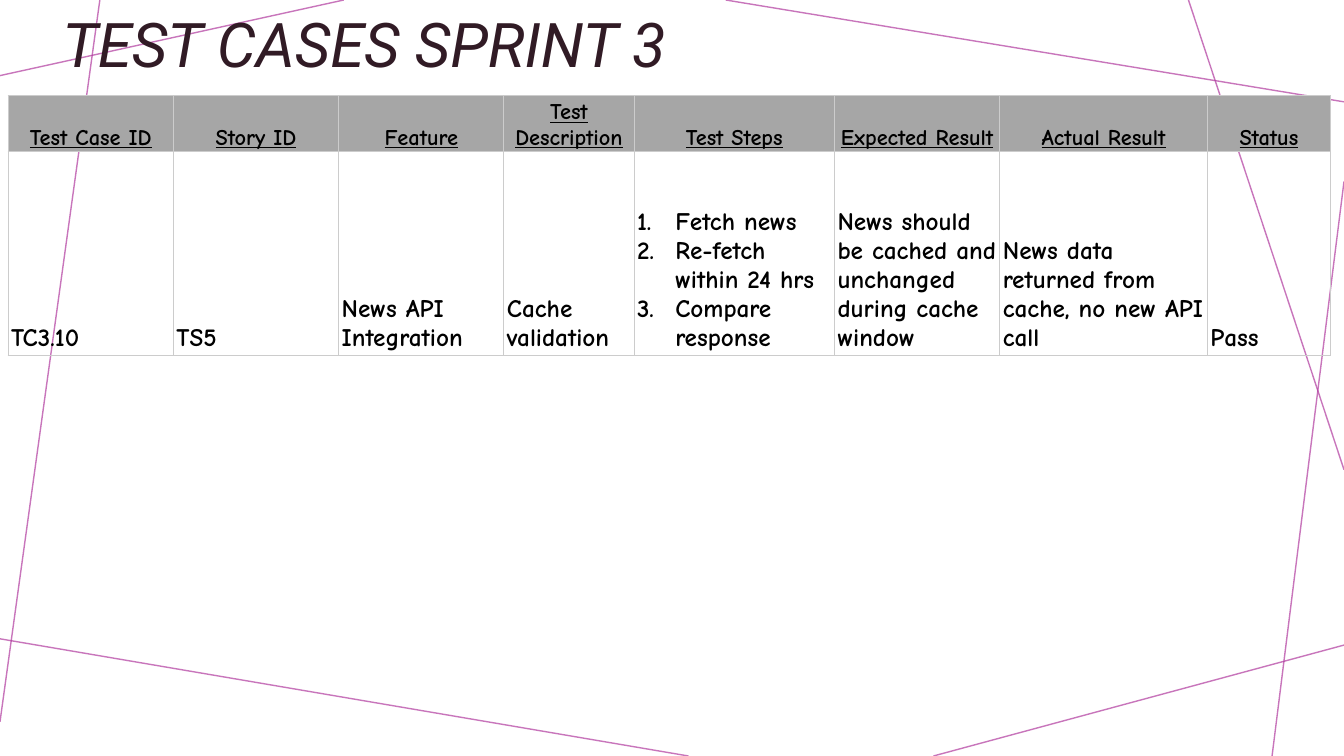
from pptx import Presentation
from pptx.dml.color import RGBColor
from pptx.enum.shapes import MSO_CONNECTOR
from pptx.enum.text import MSO_ANCHOR, PP_ALIGN
from pptx.oxml.ns import qn
from pptx.util import Inches, Pt
from lxml import etree

STRAIGHT = MSO_CONNECTOR.STRAIGHT
MIDDLE = MSO_ANCHOR.MIDDLE
BOTTOM = MSO_ANCHOR.BOTTOM
LEFT = PP_ALIGN.LEFT
CENTER = PP_ALIGN.CENTER

COLORS = {
    "ray": "B13B9F",
    "title": "311B25",
    "text": "000000",
    "header": "A6A6A6",
    "border": "CCCCCC",
}
TITLE_FONT = "Roboto"
TABLE_FONT = "Comic Neue"

RAYS = [
    (25.58, 0, 0, 10),
    (7.43, 0, 0, 95.47),
    (51.23, 100, 0, 84.5),
    (100, 85.33, 69.45, 100),
    (100, 24, 94.65, 100),
    (100, 62.13, 88.43, 0),
    (100, 13.47, 54, 0),
]
COLUMN_WIDTHS = [12.3, 12.3, 12.3, 9.68, 14.92, 12.3, 15.45, 9.15]
ROW_HEIGHTS = [6.93, 26.93]
HEADINGS = [
    "Test Case ID", "Story ID", "Feature", "Test Description",
    "Test Steps", "Expected Result", "Actual Result", "Status",
]
TEST_CASE = [
    "TC3.10",
    "TS5",
    "News API Integration",
    "Cache validation",
    ["Fetch news", "Re-fetch within 24 hrs", "Compare response"],
    "News should be cached and unchanged during cache window",
    "News data returned from cache, no new API call",
    "Pass",
]


class SlideBuilder:
    """Draws styled elements on a slide, with lengths in percent of its size."""

    def __init__(self, presentation):
        self.width = presentation.slide_width
        self.height = presentation.slide_height
        self.slide = presentation.slides.add_slide(presentation.slide_layouts[6])

    def x(self, share):
        return round(self.width * share / 100)

    def y(self, share):
        return round(self.height * share / 100)

    def color(self, name):
        return RGBColor.from_string(COLORS[name])

    def ray(self, left, top, right, bottom):
        connector = self.slide.shapes.add_connector(
            STRAIGHT, self.x(left), self.y(top), self.x(right), self.y(bottom))
        connector.line.width = Pt(1)
        connector.line.color.rgb = self.color("ray")
        properties = connector._element.spPr
        color = properties.find(".//" + qn("a:srgbClr"))
        etree.SubElement(color, qn("a:alpha"), val="70000")
        etree.SubElement(properties, qn("a:effectLst"))

    def format_runs(self, paragraph, font_name, size, color, **flags):
        for run in paragraph.runs:
            run.font.name = font_name
            run.font.size = Pt(size)
            run.font.color.rgb = self.color(color)
            for flag, value in flags.items():
                setattr(run.font, flag, value)

    def title(self, text, left, top, width, height):
        shape = self.slide.shapes.add_textbox(
            self.x(left), self.y(top), self.x(width), self.y(height))
        frame = shape.text_frame
        frame.word_wrap = True
        frame.vertical_anchor = MIDDLE
        frame.text = text
        paragraph = frame.paragraphs[0]
        paragraph.line_spacing = 0.9
        self.format_runs(paragraph, TITLE_FONT, 44, "title", italic=True)

    def borders(self, cell):
        properties = cell._tc.get_or_add_tcPr()
        for side in ("lnL", "lnR", "lnT", "lnB"):
            line = etree.SubElement(properties, qn("a:" + side), w=str(Pt(0.75)))
            fill = etree.SubElement(line, qn("a:solidFill"))
            etree.SubElement(fill, qn("a:srgbClr"), val=COLORS["border"])

    def number(self, paragraph):
        properties = paragraph._p.get_or_add_pPr()
        properties.set("marL", str(Inches(0.38)))
        properties.set("indent", str(-Inches(0.38)))
        etree.SubElement(properties, qn("a:buAutoNum"), type="arabicPeriod")

    def cell(self, cell, content, is_header):
        self.borders(cell)
        if is_header:
            cell.fill.solid()
            cell.fill.fore_color.rgb = self.color("header")
        else:
            cell.fill.background()
        cell.vertical_anchor = BOTTOM
        cell.margin_left = cell.margin_right = Inches(0.01 if is_header else 0.03)
        cell.margin_top = cell.margin_bottom = Inches(0.01 if is_header else 0.02)
        is_list = isinstance(content, list)
        cell.text_frame.text = "\n".join(content) if is_list else content
        for paragraph in cell.text_frame.paragraphs:
            if is_list:
                self.number(paragraph)
            paragraph.alignment = CENTER if is_header else LEFT
            self.format_runs(paragraph, TABLE_FONT, 16 if is_header else 18,
                             "text", bold=True, underline=is_header)

    def table(self, rows, left, top, column_widths, row_heights):
        table = self.slide.shapes.add_table(
            len(rows), len(column_widths), self.x(left), self.y(top),
            self.x(sum(column_widths)), self.y(sum(row_heights))).table
        table.first_row = table.horz_banding = False
        for column, width in zip(table.columns, column_widths):
            column.width = self.x(width)
        for index, (contents, height) in enumerate(zip(rows, row_heights)):
            table.rows[index].height = self.y(height)
            for cell, content in zip(table.rows[index].cells, contents):
                self.cell(cell, content, is_header=index == 0)


def main():
    presentation = Presentation()
    presentation.slide_width = Inches(13.33)
    presentation.slide_height = Inches(7.5)
    builder = SlideBuilder(presentation)
    for ray in RAYS:
        builder.ray(*ray)
    builder.title("TEST CASES SPRINT 3", 3.9, 0, 87.9, 12.67)
    builder.table([HEADINGS, TEST_CASE], 0.6, 12.67, COLUMN_WIDTHS, ROW_HEIGHTS)
    presentation.save("out.pptx")


if __name__ == "__main__":
    main()
